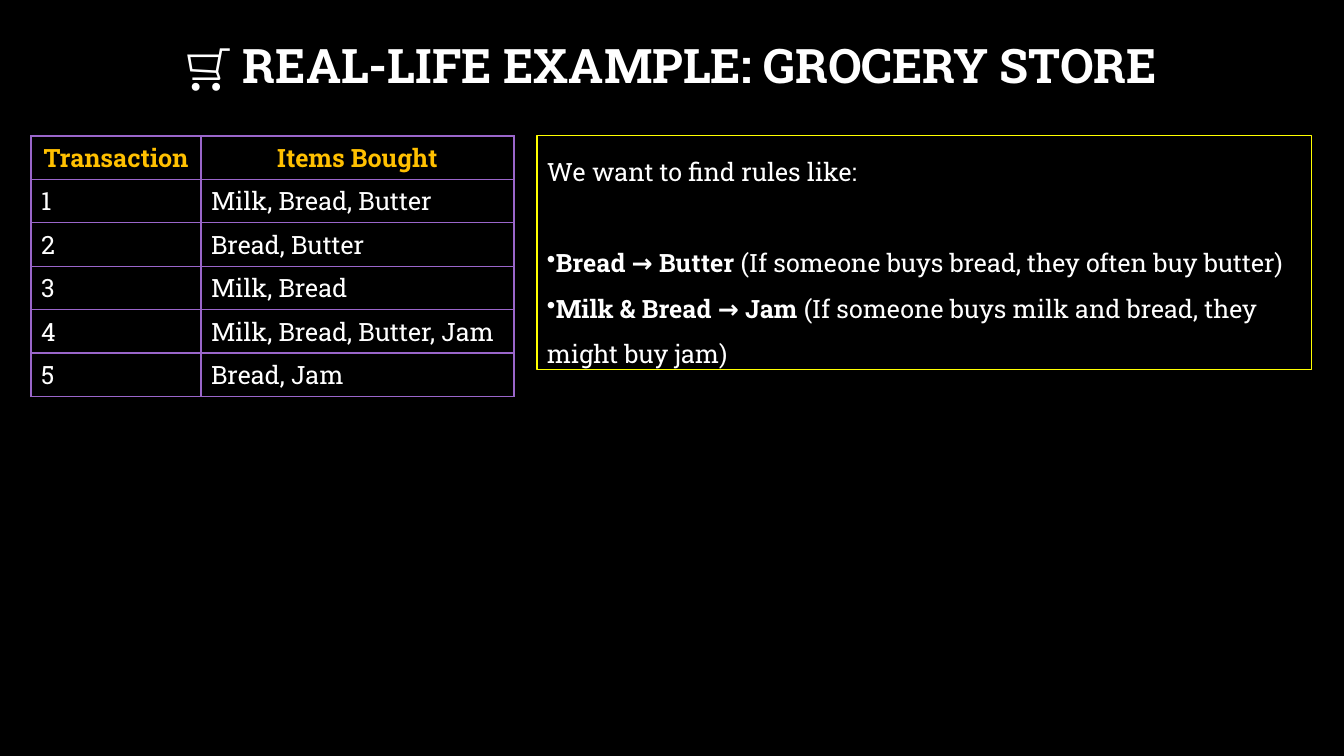
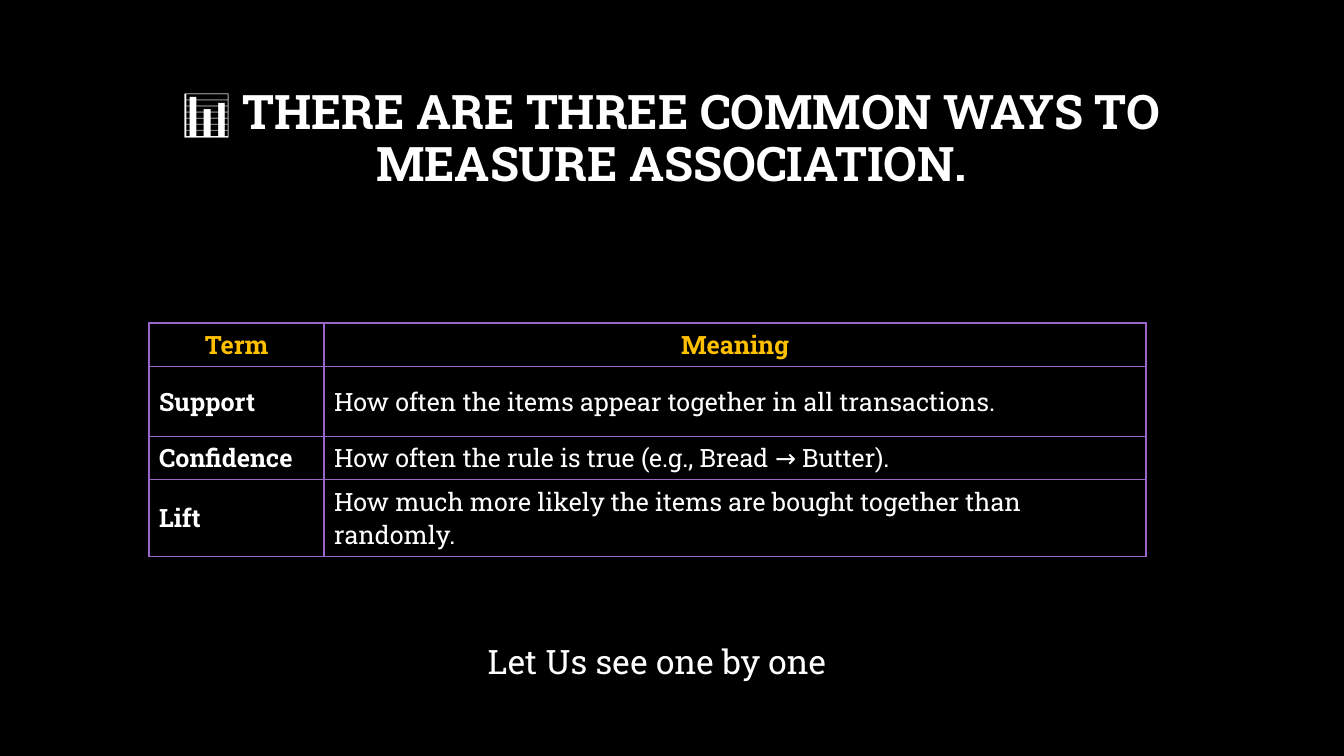
from lxml import etree
from pptx import Presentation
from pptx import util as u
from pptx.dml import color
from pptx.enum import shapes, text
from pptx.oxml import ns

SCALE = 12192000 / 1344
FACE = "Roboto Slab"
BLACK, WHITE, GOLD = "000000", "FFFFFF", "FFC000"
YELLOW, PURPLE = "FFFF00", "9A66CA"
LEFT, MID = text.PP_ALIGN.LEFT, text.PP_ALIGN.CENTER


def px(n):
    return u.Emu(round(n * SCALE))


def rgb(code):
    return color.RGBColor.from_string(code)


def add_run(para, words, size, bold=False, ink=WHITE):
    run = para.add_run()
    run.text = words
    font = run.font
    font.name, font.size, font.bold = FACE, u.Pt(size), bold
    font.color.rgb = rgb(ink)


def add_title(slide, words, *box):
    title = slide.shapes.title
    title.left, title.top, title.width, title.height = map(px, box)
    frame = title.text_frame
    frame.auto_size = text.MSO_AUTO_SIZE.NONE
    frame.vertical_anchor = text.MSO_ANCHOR.MIDDLE
    para = frame.paragraphs[0]
    para.alignment, para.line_spacing = MID, 0.9
    add_run(para, words, 34, True)


def add_edges(cell):
    props = cell._tc.get_or_add_tcPr()
    for spot, side in enumerate(("lnL", "lnR", "lnT", "lnB")):
        edge = etree.Element(ns.qn("a:" + side), w=str(u.Pt(1)))
        fill = etree.SubElement(edge, ns.qn("a:solidFill"))
        etree.SubElement(fill, ns.qn("a:srgbClr"), val=PURPLE)
        props.insert(spot, edge)


def add_grid(slide, left, top, cols, rows, data, terms=False):
    grid = slide.shapes.add_table(
        len(rows), len(cols), px(left), px(top), px(sum(cols)), px(sum(rows))
    ).table
    grid.first_row = grid.horz_banding = False
    for col, wide in zip(grid.columns, cols):
        col.width = px(wide)
    for r, (row, high) in enumerate(zip(grid.rows, rows)):
        row.height = px(high)
        for c, cell in enumerate(row.cells):
            head = r == 0
            cell.fill.background()
            cell.vertical_anchor = text.MSO_ANCHOR.MIDDLE
            add_edges(cell)
            para = cell.text_frame.paragraphs[0]
            para.alignment = MID if head else LEFT
            bold = head or (terms and c == 0)
            add_run(para, data[r][c], 18, bold, GOLD if head else WHITE)


def add_rules(slide, box, intro, rules):
    panel = slide.shapes.add_shape(shapes.MSO_SHAPE.RECTANGLE, *map(px, box))
    panel.shadow.inherit = False
    panel.fill.background()
    panel.line.color.rgb = rgb(YELLOW)
    panel.line.width = u.Pt(0.75)
    frame = panel.text_frame
    frame.word_wrap = True
    frame.vertical_anchor = text.MSO_ANCHOR.TOP
    para = frame.paragraphs[0]
    para.alignment, para.line_spacing = LEFT, 1.5
    add_run(para, intro, 18)
    for n, (rule, note) in enumerate(rules):
        para = frame.add_paragraph()
        props = para._p.get_or_add_pPr()
        etree.SubElement(props, ns.qn("a:buChar"), char="•")
        para.alignment, para.line_spacing = LEFT, 1.5
        para.space_before = u.Pt(0 if n else 33)
        add_run(para, rule, 18, True)
        add_run(para, note, 18)


def add_note(slide, words, *box):
    frame = slide.shapes.add_textbox(*map(px, box)).text_frame
    frame.word_wrap = True
    para = frame.paragraphs[0]
    para.alignment = MID
    add_run(para, words, 24)


def add_store(slide):
    add_title(slide, "🛒 REAL-LIFE EXAMPLE: GROCERY STORE", 101, 18, 1141, 100)
    data = [
        ("Transaction", "Items Bought"),
        ("1", "Milk, Bread, Butter"),
        ("2", "Bread, Butter"),
        ("3", "Milk, Bread"),
        ("4", "Milk, Bread, Butter, Jam"),
        ("5", "Bread, Jam"),
    ]
    add_grid(slide, 31, 136, (170, 313), [40] * len(data), data)
    rules = [
        ("Bread → Butter", " (If someone buys bread, they often buy butter)"),
        ("Milk & Bread → Jam",
         " (If someone buys milk and bread, they might buy jam)"),
    ]
    add_rules(slide, (537, 136, 775, 234), "We want to find rules like:", rules)


def add_terms(slide):
    add_title(slide, "📊 THERE ARE THREE COMMON WAYS TO MEASURE ASSOCIATION.",
              101, 67, 1141, 146)
    data = [
        ("Term", "Meaning"),
        ("Support", "How often the items appear together in all transactions."),
        ("Confidence", "How often the rule is true (e.g., Bread → Butter)."),
        ("Lift", "How much more likely the items are bought together "
                 "than randomly."),
    ]
    add_grid(slide, 149, 323, (175, 822), (40, 70, 40, 70), data, True)
    add_note(slide, "Let Us see one by one", 321, 636, 672, 50)


def main():
    deck = Presentation()
    deck.slide_width, deck.slide_height = px(1344), px(756)
    back = deck.slide_master.background.fill
    back.solid()
    back.fore_color.rgb = rgb(BLACK)
    for build in (add_store, add_terms):
        build(deck.slides.add_slide(deck.slide_layouts[5]))
    deck.save("out.pptx")


if __name__ == "__main__":
    main()
